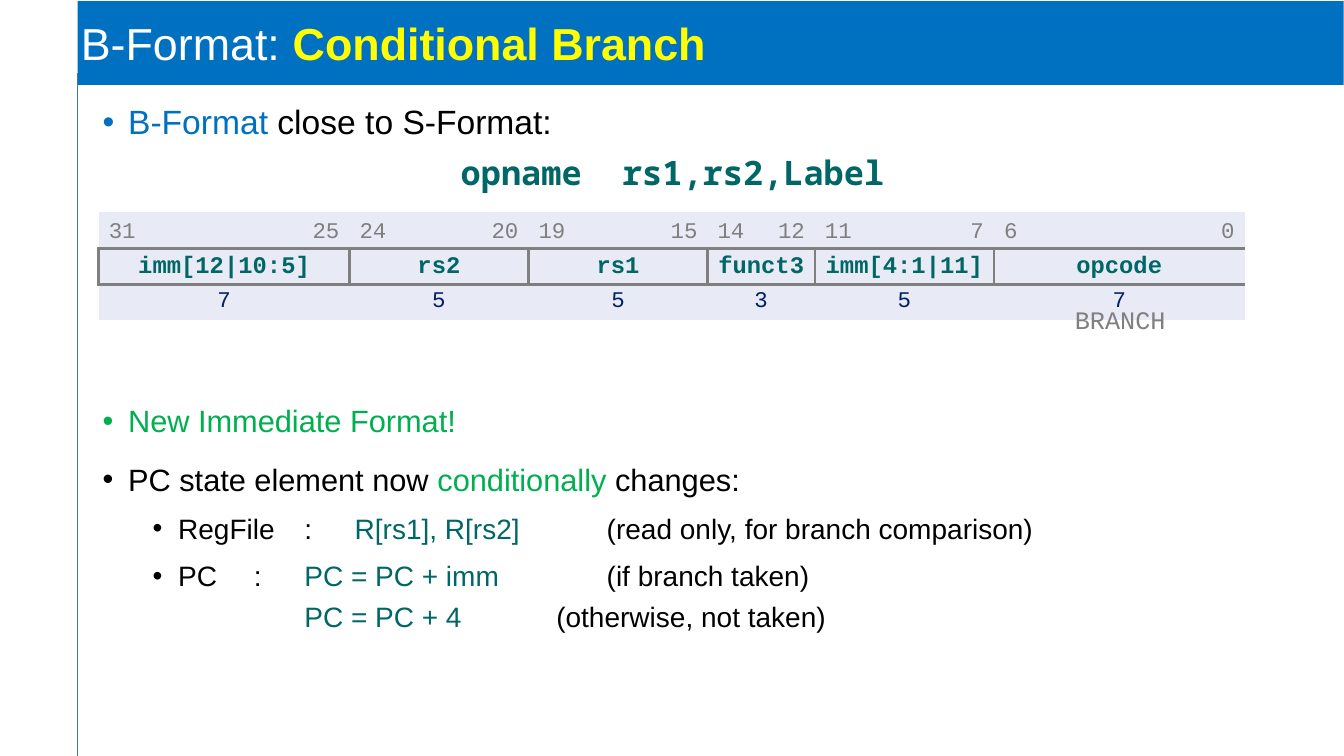
from lxml.etree import SubElement
from pptx import Presentation
from pptx.dml.color import RGBColor
from pptx.enum.shapes import MSO_CONNECTOR, MSO_SHAPE
from pptx.enum.text import MSO_ANCHOR as Anchor, PP_ALIGN as Align
from pptx.oxml import parse_xml
from pptx.oxml.ns import nsdecls, qn
from pptx.util import Cm, Pt

# Content
COLORS = {
    "blue": "0070C0", "white": "FFFFFF", "yellow": "FFFF00", "black": "000000",
    "teal": "006666", "green": "00B050", "gray": "7F7F7F", "navy": "002060",
    "cell": "E8EBF5", "rule": "4472C4",
}
SANS, CODE, MONO = "Arial", "Noto Sans Mono", "Courier New"

TITLE = [("B-Format: ", "white", False), ("Conditional Branch", "yellow", True)]

# Runs are (text, color); a paragraph is (kind, runs)
SYNTAX = [
    ("lead", [("B-Format", "blue"), (" close to S-Format:", "black")]),
    ("code", [("opname  rs1,rs2,Label", "teal")]),
]
EFFECTS = [
    ("point", [("New Immediate Format!", "green")]),
    ("wide point", [("PC state element now ", "black"), ("conditionally", "green"),
                    (" changes:", "black")]),
    ("detail", [("RegFile\t:\t", "black"), ("R[rs1], R[rs2]\t\t", "teal"),
                ("(read only, for branch comparison)", "black")]),
    ("detail", [("PC\t:\t", "black"), ("PC = PC + imm\t\t\t", "teal"),
                ("(if branch taken)\v\t\t\t", "black"), ("PC = PC + 4\t\t", "teal"),
                ("(otherwise, not taken)", "black")]),
]
# kind: font, size, bold, line spacing, space before, left indent (cm) or None
KINDS = {
    "lead": (SANS, 24, False, 0.9, 10, 0.64),
    "code": (CODE, 24, True, 0.9, 10, None),
    "point": (SANS, 22, False, 0.9, 10, 0.64),
    "wide point": (SANS, 22, False, 1.2, 10, 0.64),
    "detail": (SANS, 20, False, 1.2, 5, 1.9),
}
HANGING = 0.64

# Instruction fields: name, high bit, low bit
FIELDS = [("imm[12|10:5]", 31, 25), ("rs2", 24, 20), ("rs1", 19, 15),
          ("funct3", 14, 12), ("imm[4:1|11]", 11, 7), ("opcode", 6, 0)]
BIT_WIDTH = 28.88 / 32
ROW_HEIGHTS = [0.93, 0.85, 0.89]
NO_STYLE = "{2D5ABB26-0587-4C30-8999-92F81FD0307C}"


def rgb(name):
    return RGBColor.from_string(COLORS[name])


def style(run, font, size, color, bold=False):
    run.font.name, run.font.size, run.font.bold = font, Pt(size), bold
    run.font.color.rgb = rgb(color)


def add_bullet(paragraph, color, left):
    properties = paragraph._p.get_or_add_pPr()
    properties.set("marL", str(Cm(left)))
    properties.set("indent", str(-Cm(HANGING)))
    bullet_color = SubElement(properties, qn("a:buClr"))
    SubElement(bullet_color, qn("a:srgbClr"), val=COLORS[color])
    SubElement(properties, qn("a:buFont"), typeface=SANS)
    SubElement(properties, qn("a:buChar"), char="•")


def add_textbox(slide, left, top, width, height):
    frame = slide.shapes.add_textbox(Cm(left), Cm(top), Cm(width), Cm(height)).text_frame
    frame.word_wrap = True
    return frame


def add_body(slide, top, height, paragraphs):
    frame = add_textbox(slide, 2.34, top, 29.21, height)
    for index, (kind, runs) in enumerate(paragraphs):
        font, size, bold, spacing, before, left = KINDS[kind]
        paragraph = frame.paragraphs[0] if index == 0 else frame.add_paragraph()
        if left is None:
            paragraph.alignment = Align.CENTER
        else:
            add_bullet(paragraph, runs[0][1], left)
        paragraph.line_spacing = spacing
        paragraph.space_before = Pt(before if index else 0)
        for text, color in runs:
            for part, piece in enumerate(text.split("\v")):
                if part:
                    paragraph.add_line_break()
                run = paragraph.add_run()
                run.text = piece
                style(run, font, size, color, bold)


def add_borders(cell, sides):
    properties = cell._tc.get_or_add_tcPr()
    for index, side in enumerate(sides):
        properties.insert(index, parse_xml(
            f'<a:ln{side} {nsdecls("a")} w="28575"><a:solidFill>'
            f'<a:srgbClr val="{COLORS["gray"]}"/></a:solidFill></a:ln{side}>'))


def write_cell(cell, text, size, color, alignment, bold=False):
    cell.text_frame.text = text
    paragraph = cell.text_frame.paragraphs[0]
    paragraph.alignment, paragraph.line_spacing = alignment, 0.9
    style(paragraph.runs[0], MONO, size, color, bold)


def column_bits(bits):
    edge = min(2, bits / 2)
    return [edge] + [1] * int(bits - 2 * edge) + [edge]


def add_fields(slide):
    groups = [column_bits(high - low + 1) for _, high, low in FIELDS]
    widths = [bits for group in groups for bits in group]
    table_frame = slide.shapes.add_table(
        len(ROW_HEIGHTS), len(widths), Cm(2.49), Cm(5.33),
        Cm(sum(widths) * BIT_WIDTH), Cm(sum(ROW_HEIGHTS)))
    table = table_frame.table
    table._tbl.tblPr.find(qn("a:tableStyleId")).text = NO_STYLE
    for column, bits in zip(table.columns, widths):
        column.width = Cm(bits * BIT_WIDTH)
    for row, height in zip(table.rows, ROW_HEIGHTS):
        row.height = Cm(height)
    for cell in table.iter_cells():
        cell.fill.solid()
        cell.fill.fore_color.rgb = rgb("cell")
        cell.text_frame.paragraphs[0]._p.get_or_add_endParaRPr().set("sz", "1600")

    first = 0
    for (name, high, low), group in zip(FIELDS, groups):
        last = first + len(group) - 1
        # Borders around the field names
        for column in range(first, last + 1):
            left = "L" if column == first else ""
            right = "R" if column == last else ""
            for row, sides in enumerate(["B", left + right + "TB", "T"]):
                add_borders(table.cell(row, column), sides)
            table.cell(0, column).vertical_anchor = Anchor.BOTTOM
        # Bit positions, field name, field width
        write_cell(table.cell(0, first), str(high), 16, "gray", Align.LEFT)
        write_cell(table.cell(0, last), str(low), 16, "gray", Align.RIGHT)
        for row in (1, 2):
            table.cell(row, first).merge(table.cell(row, last))
        write_cell(table.cell(1, first), name, 17, "teal", Align.CENTER, True)
        write_cell(table.cell(2, first), str(high - low + 1), 16, "navy", Align.CENTER)
        first = last + 1


def add_title(slide):
    bar = slide.shapes.add_shape(MSO_SHAPE.RECTANGLE, Cm(1.96), Cm(0.03), Cm(31.9), Cm(2.11))
    bar.shadow.inherit = False
    bar.fill.solid()
    bar.fill.fore_color.rgb = rgb("blue")
    bar.line.fill.background()
    frame = bar.text_frame
    frame.margin_left = frame.margin_right = frame.margin_top = frame.margin_bottom = Cm(0.08)
    frame.vertical_anchor = Anchor.MIDDLE
    paragraph = frame.paragraphs[0]
    paragraph.alignment = Align.LEFT
    for text, color, bold in TITLE:
        run = paragraph.add_run()
        run.text = text
        style(run, SANS, 32, color, bold)


def add_margin_line(slide):
    line = slide.shapes.add_connector(
        MSO_CONNECTOR.STRAIGHT, Cm(1.96), Cm(1.85), Cm(1.96), Cm(19.05))
    line.line.color.rgb = rgb("rule")
    line.line.width = Pt(0.75)
    SubElement(line._element.spPr, qn("a:effectLst"))


def main():
    presentation = Presentation()
    presentation.slide_width, presentation.slide_height = Cm(33.87), Cm(19.05)
    slide = presentation.slides.add_slide(presentation.slide_layouts[6])
    add_body(slide, 2.54, 2.6, SYNTAX)
    add_body(slide, 10.11, 6.3, EFFECTS)
    add_title(slide)
    add_margin_line(slide)
    add_fields(slide)

    # Opcode value under the table
    frame = add_textbox(slide, 24.66, 7.54, 7.14, 1.02)
    frame.text = "BRANCH"
    frame.paragraphs[0].alignment = Align.CENTER
    style(frame.paragraphs[0].runs[0], MONO, 18, "gray")
    presentation.save("out.pptx")


if __name__ == "__main__":
    main()
